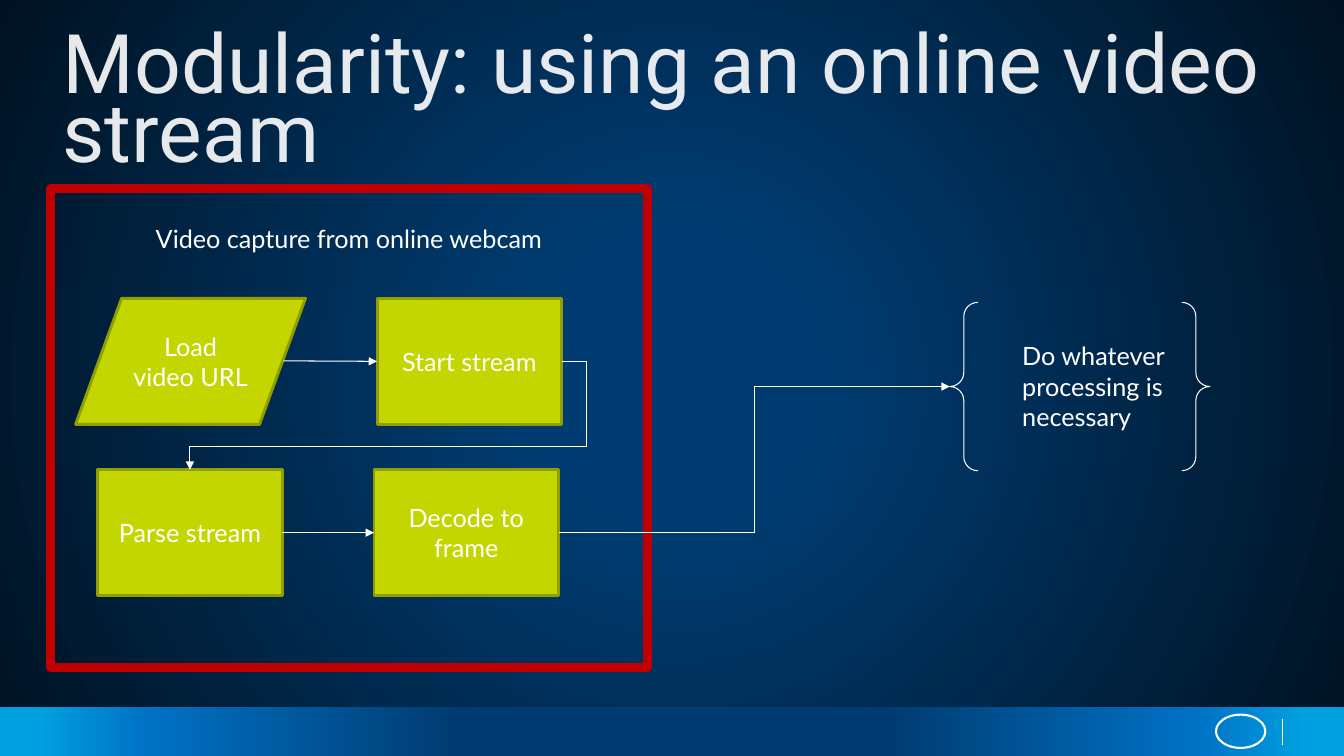
from lxml import etree
from pptx import Presentation
from pptx.dml.color import RGBColor
from pptx.enum import shapes, text
from pptx.oxml import parse_xml
from pptx.oxml.ns import nsdecls, qn
from pptx.util import Inches, Pt

WHITE = RGBColor(0xFF, 0xFF, 0xFF)
RED = RGBColor(0xC0, 0x00, 0x00)
LIME = RGBColor(0xC3, 0xD6, 0x00)
OLIVE = RGBColor(0x90, 0x9E, 0x00)
NAVY = RGBColor(0x00, 0x3C, 0x71)
MIDNIGHT = RGBColor(0x00, 0x12, 0x22)
BLUE = RGBColor(0x00, 0x71, 0xC5)
CYAN = RGBColor(0x00, 0x9F, 0xDF)

LINEAR = '<a:lin ang="0" scaled="0"/>'
RADIAL = '<a:path path="circle"><a:fillToRect l="50000" t="50000" r="50000" b="50000"/></a:path>'


def gradient_xml(stops, direction):
    stop_xml = "".join(
        f'<a:gs pos="{percent * 1000}"><a:srgbClr val="{color}"/></a:gs>'
        for percent, color in stops)
    return (f'<a:gradFill {nsdecls("a")} rotWithShape="1">'
            f'<a:gsLst>{stop_xml}</a:gsLst>{direction}</a:gradFill>')


def add_box(kind, left, top, width, height, label="", fill=None, line=None, weight=0.75):
    """Add a preset shape with an optional 18 pt label, fill and outline."""
    box = slide.shapes.add_shape(
        kind, Inches(left), Inches(top), Inches(width), Inches(height))
    box.shadow.inherit = False
    if fill is None:
        box.fill.background()
    else:
        box.fill.solid()
        box.fill.fore_color.rgb = fill
    if line is None:
        box.line.fill.background()
    else:
        box.line.color.rgb = line
        box.line.width = Pt(weight)
    if label:
        box.text_frame.text = label
        paragraph = box.text_frame.paragraphs[0]
        paragraph.alignment = text.PP_ALIGN.CENTER
        font = paragraph.runs[0].font
        font.name, font.size, font.color.rgb = "Lato", Pt(18), WHITE
    return box


presentation = Presentation()
presentation.slide_width = Inches(13.33)
presentation.slide_height = Inches(7.5)
slide = presentation.slides.add_slide(presentation.slide_layouts[5])

# Background and footer
background_fill = gradient_xml([(0, NAVY), (19, NAVY), (100, MIDNIGHT)], RADIAL)
slide.element.cSld.insert(0, parse_xml(
    f'<p:bg {nsdecls("p", "a")}><p:bgPr>{background_fill}<a:effectLst/></p:bgPr></p:bg>'))

footer = add_box(shapes.MSO_SHAPE.RECTANGLE, 0, 7.01, 13.33, 0.49)
footer_fill = gradient_xml(
    [(0, CYAN), (3, CYAN), (11, BLUE), (34, NAVY),
     (66, NAVY), (89, BLUE), (97, CYAN), (100, CYAN)], LINEAR)
footer_properties = footer.element.spPr
footer_properties.replace(footer_properties.find(qn("a:noFill")), parse_xml(footer_fill))
add_box(shapes.MSO_SHAPE.OVAL, 12.06, 7.09, 0.49, 0.33, line=WHITE, weight=1.5)

# Title
title = slide.shapes.title
title.left, title.top = Inches(0.52), Inches(0.33)
title.width, title.height = Inches(12.3), Inches(0.79)
title.text_frame.text = "Modularity: using an online video stream"
title.text_frame.vertical_anchor = text.MSO_ANCHOR.TOP
title.text_frame.auto_size = text.MSO_AUTO_SIZE.SHAPE_TO_FIT_TEXT
title_paragraph = title.text_frame.paragraphs[0]
title_paragraph.alignment = text.PP_ALIGN.LEFT
title_paragraph.line_spacing = 0.7
title_font = title_paragraph.runs[0].font
title_font.name, title_font.size, title_font.color.rgb = "Roboto", Pt(58.7), WHITE
title_color = title.element.find(".//" + qn("a:srgbClr"))
etree.SubElement(title_color, qn("a:alpha")).set("val", "90000")

# Capture frame and its steps
PROCESS = shapes.MSO_SHAPE.FLOWCHART_PROCESS
frame = add_box(PROCESS, 0.5, 1.87, 5.92, 4.75,
                "Video capture from online webcam", line=RED, weight=6)
frame.text_frame.vertical_anchor = text.MSO_ANCHOR.TOP
frame.text_frame.margin_top = Inches(0.35)

steps = {}
for label, kind, left, top, width in [
    ("Load video URL", shapes.MSO_SHAPE.FLOWCHART_DATA, 0.75, 2.96, 2.28),
    ("Start stream", PROCESS, 3.74, 2.96, 1.83),
    ("Parse stream", PROCESS, 0.97, 4.66, 1.83),
    ("Decode to frame", PROCESS, 3.71, 4.66, 1.83),
]:
    steps[label] = add_box(kind, left, top, width, 1.25, label, LIME, OLIVE, 2.08)
    steps[label].text_frame.vertical_anchor = text.MSO_ANCHOR.MIDDLE

# Processing step
processing = slide.shapes.add_textbox(Inches(10.04), Inches(3.33), Inches(2.09), Inches(1.01))
processing.text_frame.word_wrap = True
processing.text_frame.text = "Do whatever processing is necessary"
processing_font = processing.text_frame.paragraphs[0].runs[0].font
processing_font.name, processing_font.size = "Lato", Pt(18)
processing_font.color.rgb = WHITE
braces = add_box(shapes.MSO_SHAPE.DOUBLE_BRACE, 9.42, 3, 2.58, 1.67, line=WHITE)

# Connectors
STRAIGHT, ELBOW = shapes.MSO_CONNECTOR.STRAIGHT, shapes.MSO_CONNECTOR.ELBOW
TOP, LEFT, RIGHT = 0, 1, 3
start, parse, decode = (
    steps[label] for label in ("Start stream", "Parse stream", "Decode to frame"))
connectors = []
for kind, begin, end, source, target, target_side, weight in [
    (STRAIGHT, (12.72, 7.13), (12.72, 7.39), None, None, None, 0.25),
    (STRAIGHT, (2.81, 3.58), (3.74, 3.58), None, start, LEFT, 0.75),
    (ELBOW, (5.57, 3.58), (1.89, 4.66), start, parse, TOP, 0.75),
    (STRAIGHT, (2.8, 5.29), (3.71, 5.29), parse, decode, LEFT, 0.75),
    (ELBOW, (5.54, 5.29), (9.42, 3.83), decode, braces, LEFT, 0.75),
]:
    connector = slide.shapes.add_connector(
        kind, *(Inches(value) for value in begin + end))
    if source:
        connector.begin_connect(source, RIGHT)
    if target:
        connector.end_connect(target, target_side)
    connector.line.color.rgb = WHITE
    connector.line.width = Pt(weight)
    properties = connector.element.spPr
    if target:
        etree.SubElement(properties.find(qn("a:ln")), qn("a:tailEnd")).set("type", "triangle")
    etree.SubElement(properties, qn("a:effectLst"))
    connectors.append(connector)

# The return path leaves to the right, then runs back between the two rows
return_geometry = connectors[2].element.spPr.find(qn("a:prstGeom"))
return_geometry.set("prst", "bentConnector4")
for name, value in (("adj1", -6800), ("adj2", 78800)):
    guide = etree.SubElement(return_geometry.find(qn("a:avLst")), qn("a:gd"))
    guide.set("name", name)
    guide.set("fmla", f"val {value}")

presentation.save("out.pptx")
